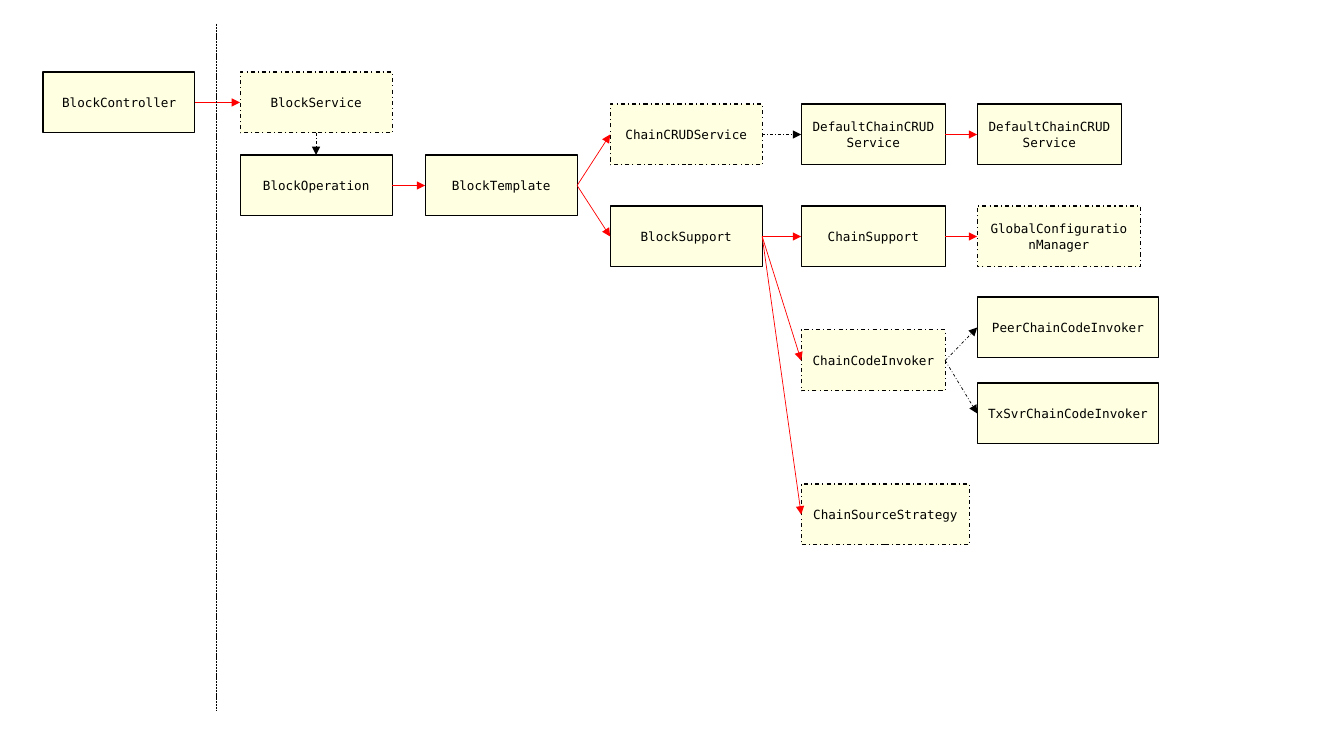
from lxml import etree
from pptx import Presentation, util as u
from pptx.dml.color import RGBColor
from pptx.enum import dml, shapes, text
from pptx.oxml.ns import qn

SCALE = 914400 / 100.8
COLORS = {"ink": "000000", "call": "FF0000", "box": "FFFFE1"}
FONT = "DejaVu Sans Mono"
DASH = dml.MSO_LINE.DASH_DOT
TOP, LEFT, BOTTOM, RIGHT = range(4)
HIGH = 61

BOXES = [
    ("control", "BlockController", 43, 72, 152, None),
    ("service", "BlockService", 240, 72, 152, DASH),
    ("operate", "BlockOperation", 240, 155, 152, None),
    ("template", "BlockTemplate", 425, 155, 152, None),
    ("crud", "ChainCRUDService", 610, 104, 152, DASH),
    ("support", "BlockSupport", 610, 206, 152, None),
    ("default", "DefaultChainCRUDService", 801, 104, 144, None),
    ("second", "DefaultChainCRUDService", 977, 104, 144, None),
    ("chain", "ChainSupport", 801, 206, 144, None),
    ("config", "GlobalConfigurationManager", 977, 206, 163, DASH),
    ("invoker", "ChainCodeInvoker", 801, 330, 144, DASH),
    ("peer", "PeerChainCodeInvoker", 977, 297, 181, None),
    ("server", "TxSvrChainCodeInvoker", 977, 383, 181, None),
    ("source", "ChainSourceStrategy", 801, 484, 168, DASH),
]

CALLS = [
    ("control", "service"),
    ("operate", "template"),
    ("template", "crud"),
    ("template", "support"),
    ("default", "second"),
    ("support", "chain"),
    ("support", "invoker"),
    ("support", "source"),
    ("chain", "config"),
]

IMPLS = [
    ("service", "operate", BOTTOM, TOP),
    ("crud", "default", RIGHT, LEFT),
    ("invoker", "peer", RIGHT, LEFT),
    ("invoker", "server", RIGHT, LEFT),
]


def px(n):
    return u.Emu(round(n * SCALE))


def color(name):
    return RGBColor.from_string(COLORS[name])


def stroke(line, ink="ink", width=0.5, dash=None):
    line.color.rgb = color(ink)
    line.width = u.Pt(width)
    if dash:
        line.dash_style = dash


def write(shape, words, size=9, ink="ink", align=text.PP_ALIGN.CENTER):
    frame = shape.text_frame
    frame.word_wrap = True
    frame.vertical_anchor = text.MSO_ANCHOR.MIDDLE
    para = frame.paragraphs[0]
    para.alignment = align
    run = para.add_run()
    run.text = words
    run.font.name = FONT
    run.font.size = u.Pt(size)
    run.font.color.rgb = color(ink)


def add_box(slide, words, left, top, width, dash):
    box = slide.shapes.add_shape(
        shapes.MSO_SHAPE.RECTANGLE, px(left), px(top), px(width), px(HIGH))
    box.shadow.inherit = False
    box.fill.solid()
    box.fill.fore_color.rgb = color("box")
    stroke(box.line, width=0.75, dash=dash)
    write(box, words)
    return box


def add_line(slide, ends=(0, 0, 0, 0), **style):
    line = slide.shapes.add_connector(
        shapes.MSO_CONNECTOR.STRAIGHT, *map(px, ends))
    stroke(line.line, **style)
    etree.SubElement(line._element.spPr, qn("a:effectLst"))
    return line


def add_arrow(slide, start, end, out=RIGHT, into=LEFT, **style):
    line = add_line(slide, **style)
    line.begin_connect(start, out)
    line.end_connect(end, into)
    stem = line.line._get_or_add_ln()
    etree.SubElement(stem, qn("a:tailEnd"), type="triangle")


def main():
    deck = Presentation()
    deck.slide_width = u.Inches(13.33)
    deck.slide_height = u.Inches(7.5)
    slide = deck.slides.add_slide(deck.slide_layouts[6])
    boxes = {key: add_box(slide, *rest) for key, *rest in BOXES}
    for start, end in CALLS:
        add_arrow(slide, boxes[start], boxes[end], ink="call")
    for start, end, out, into in IMPLS:
        add_arrow(slide, boxes[start], boxes[end], out, into, dash=DASH)
    add_line(slide, (216, 24, 216, 710), dash=dml.MSO_LINE.SQUARE_DOT)
    deck.save("out.pptx")


if __name__ == "__main__":
    main()
